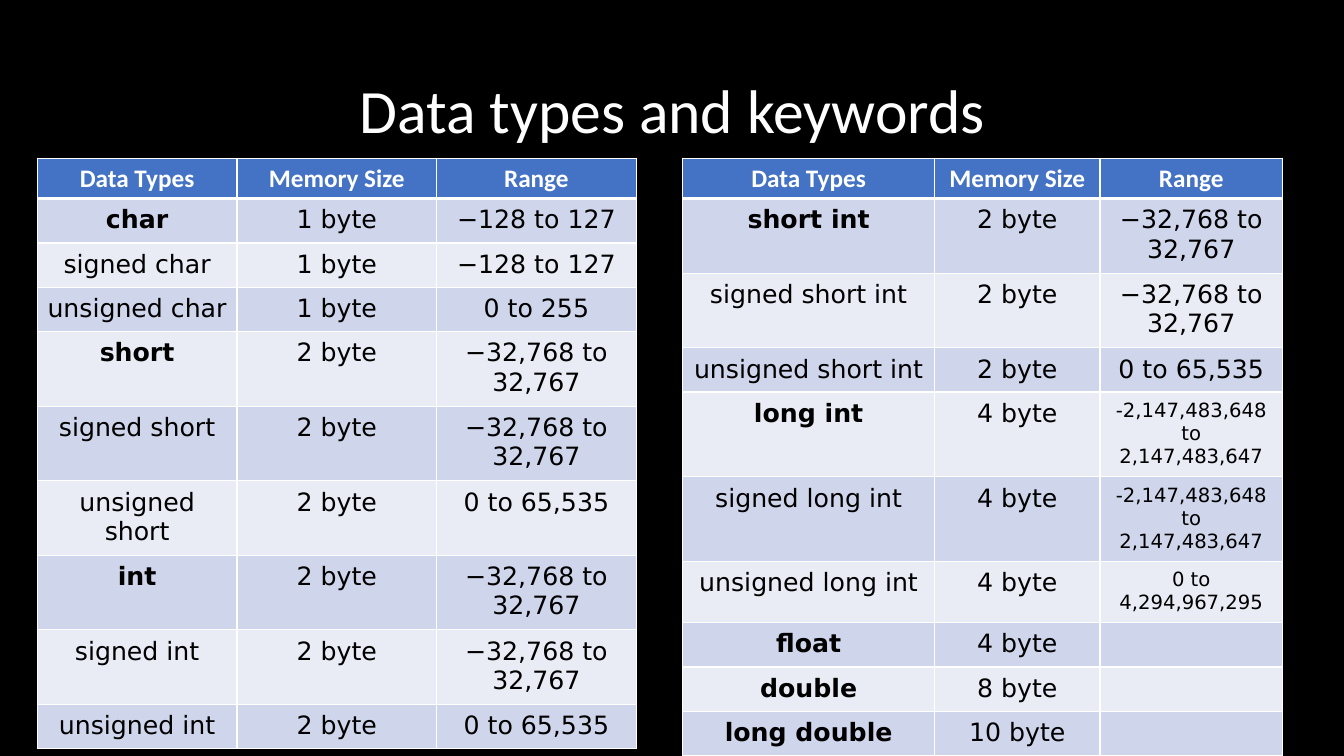
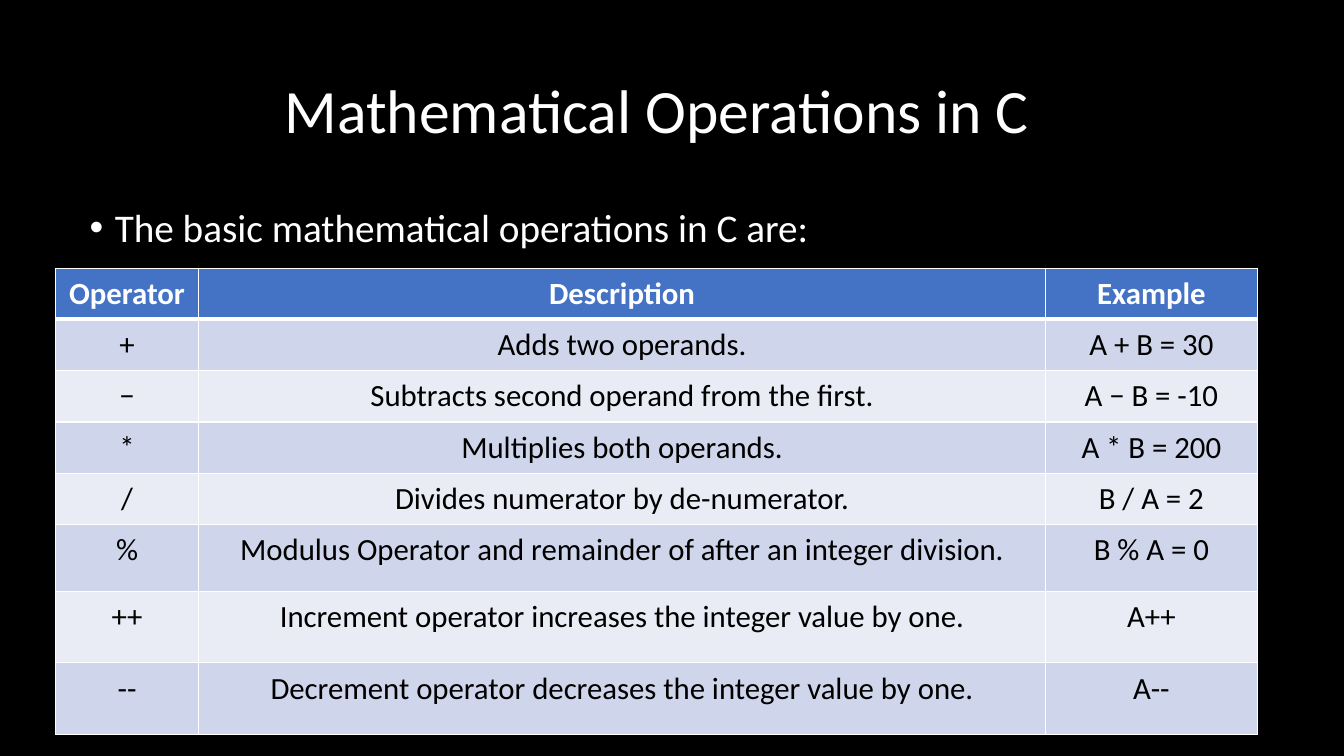
from lxml.etree import SubElement
from pptx import Presentation
from pptx.dml.color import RGBColor
from pptx.enum.text import MSO_ANCHOR, PP_ALIGN
from pptx.oxml.ns import qn
from pptx.util import Inches, Pt

BLACK = RGBColor(0x00, 0x00, 0x00)
WHITE = RGBColor(0xFF, 0xFF, 0xFF)
HEADER_BLUE = RGBColor(0x44, 0x72, 0xC4)
BANDS = [RGBColor(0xCF, 0xD5, 0xEA), RGBColor(0xE9, 0xEB, 0xF5)]
BODY_FONT = "Calibri"
TYPE_FONT = "DejaVu Sans"
CELL_MARGIN = Inches(0.07)

TYPE_HEADER = ("Data Types", "Memory Size", "Range")
SHORT_RANGE = "−32,768 to 32,767"
LONG_RANGE = "-2,147,483,648 to 2,147,483,647"
SMALL_TYPES = [
    TYPE_HEADER,
    ("char", "1 byte", "−128 to 127"),
    ("signed char", "1 byte", "−128 to 127"),
    ("unsigned char", "1 byte", "0 to 255"),
    ("short", "2 byte", SHORT_RANGE),
    ("signed short", "2 byte", SHORT_RANGE),
    ("unsigned short", "2 byte", "0 to 65,535"),
    ("int", "2 byte", SHORT_RANGE),
    ("signed int", "2 byte", SHORT_RANGE),
    ("unsigned int", "2 byte", "0 to 65,535"),
]
LARGE_TYPES = [
    TYPE_HEADER,
    ("short int", "2 byte", SHORT_RANGE),
    ("signed short int", "2 byte", SHORT_RANGE),
    ("unsigned short int", "2 byte", "0 to 65,535"),
    ("long int", "4 byte", LONG_RANGE),
    ("signed long int", "4 byte", LONG_RANGE),
    ("unsigned long int", "4 byte", "0 to 4,294,967,295"),
    ("float", "4 byte", ""),
    ("double", "8 byte", ""),
    ("long double", "10 byte", ""),
]
OPERATORS = [
    ("Operator", "Description", "Example"),
    ("+", "Adds two operands.", "A + B = 30"),
    ("−", "Subtracts second operand from the first.", "A − B = -10"),
    ("*", "Multiplies both operands.", "A * B = 200"),
    ("/", "Divides numerator by de-numerator.", "B / A = 2"),
    ("%", "Modulus Operator and remainder of after an integer division.", "B % A = 0"),
    ("++", "Increment operator increases the integer value by one.", "A++"),
    ("--", "Decrement operator decreases the integer value by one.", "A--"),
]


def write_text(frame, text, size=18, font=BODY_FONT, color=WHITE, bold=False,
               align=PP_ALIGN.CENTER, line_spacing=None):
    frame.word_wrap = True
    paragraph = frame.paragraphs[0]
    paragraph.alignment = align
    paragraph.line_spacing = line_spacing
    run = paragraph.add_run()
    run.text = text
    run.font.size = Pt(size)
    run.font.name = font
    run.font.bold = bold
    run.font.color.rgb = color
    return paragraph


def add_banded_table(slide, rows, left, top, widths, heights, size=18,
                     font=BODY_FONT, header_margins=True, bold_keywords=False):
    """Add a table with a blue header; bold_keywords marks unmodified type names."""
    shape = slide.shapes.add_table(
        len(rows), len(widths), Inches(left), Inches(top),
        Inches(sum(widths)), Inches(sum(heights)))
    table = shape.table
    for column, width in zip(table.columns, widths):
        column.width = Inches(width)
    for row, height in zip(table.rows, heights):
        row.height = Inches(height)
    for row_index, values in enumerate(rows):
        is_header = row_index == 0
        for column_index, text in enumerate(values):
            cell = table.cell(row_index, column_index)
            if text and (header_margins or not is_header):
                cell.margin_left = cell.margin_right = CELL_MARGIN
                cell.margin_top = cell.margin_bottom = CELL_MARGIN
            properties = cell._tc.get_or_add_tcPr()
            for side in ("lnL", "lnR", "lnT", "lnB"):
                under_header = (is_header and side == "lnB") or (row_index == 1 and side == "lnT")
                line = SubElement(properties, qn(f"a:{side}"), w=str(Pt(3 if under_header else 1)))
                fill = SubElement(line, qn("a:solidFill"))
                SubElement(fill, qn("a:srgbClr"), val=str(WHITE))
            cell.fill.solid()
            cell.fill.fore_color.rgb = HEADER_BLUE if is_header else BANDS[(row_index - 1) % 2]
            if is_header:
                write_text(cell.text_frame, text, size=size, bold=True)
            elif text:
                keyword = (bold_keywords and column_index == 0
                           and not text.startswith(("signed", "unsigned")))
                in_billions = text.count(",") >= 3
                write_text(cell.text_frame, text, size=14 if in_billions else size,
                           font=font, color=BLACK, bold=keyword)


presentation = Presentation()
presentation.slide_width = Inches(13.33)
presentation.slide_height = Inches(7.5)

slides = []
for title, right_margin in [("Data types and keywords", 0.1),
                            ("Mathematical Operations in C", 0.4)]:
    slide = presentation.slides.add_slide(presentation.slide_layouts[6])
    slide.background.fill.solid()
    slide.background.fill.fore_color.rgb = BLACK
    title_box = slide.shapes.add_textbox(Inches(0.92), Inches(0.4), Inches(11.5), Inches(1.45))
    title_box.text_frame.vertical_anchor = MSO_ANCHOR.MIDDLE
    title_box.text_frame.margin_right = Inches(right_margin)
    write_text(title_box.text_frame, title, size=44, line_spacing=0.9)
    slides.append(slide)
types_slide, operators_slide = slides

for rows, left, widths in [(SMALL_TYPES, 0.37, [1.98] * 3),
                           (LARGE_TYPES, 6.77, [2.5, 1.64, 1.81])]:
    add_banded_table(types_slide, rows, left, 1.57, widths, [0.4] * len(rows),
                     font=TYPE_FONT, header_margins=False, bold_keywords=True)

intro_box = operators_slide.shapes.add_textbox(
    Inches(0.79), Inches(2.02), Inches(11.8), Inches(4.91))
intro = write_text(intro_box.text_frame, "The basic mathematical operations in C are:",
                   size=28, align=PP_ALIGN.LEFT, line_spacing=0.9)
intro.space_before = Pt(10)
bullet_properties = intro._p.get_or_add_pPr()
bullet_properties.set("marL", str(Inches(0.25)))
bullet_properties.set("indent", str(-Inches(0.25)))
SubElement(bullet_properties, qn("a:buFont"), typeface="Arial")
SubElement(bullet_properties, qn("a:buChar"), char="•")

add_banded_table(operators_slide, OPERATORS, 0.55, 2.66, [1.42, 8.4, 2.1],
                 [0.42] + [0.51] * 4 + [0.66] + [0.71] * 2, size=22)

presentation.save("out.pptx")
